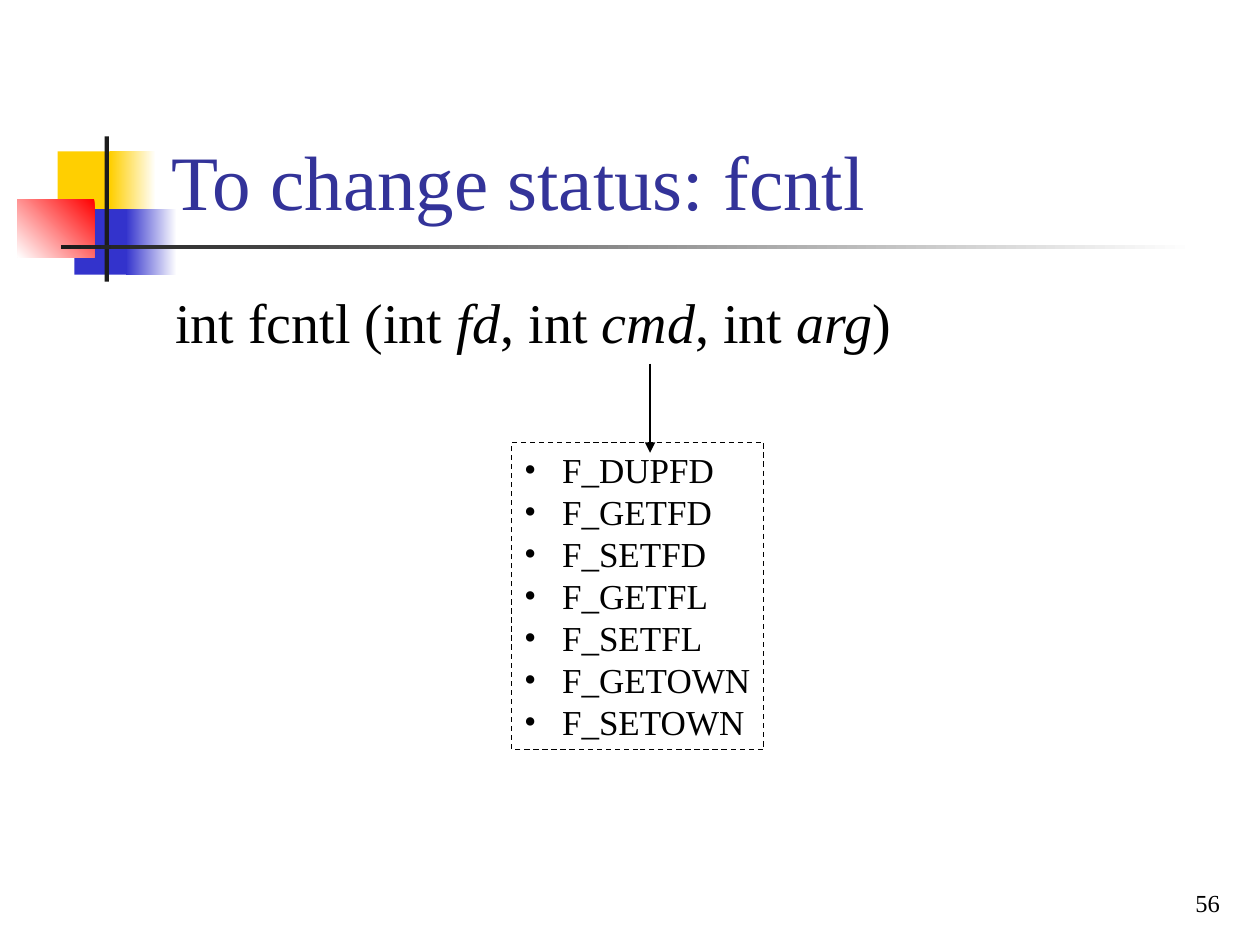
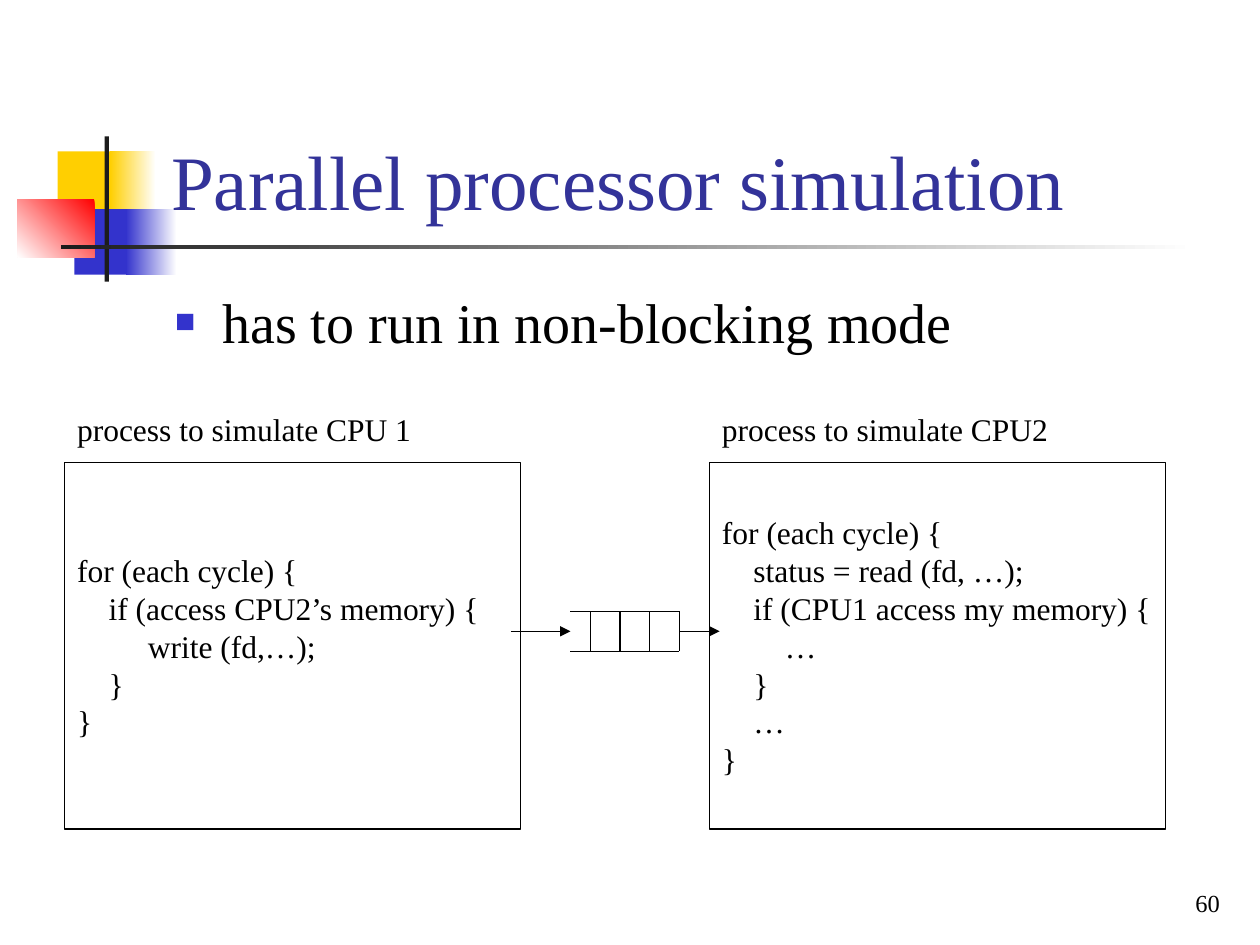
from pptx import Presentation
from pptx.dml.color import RGBColor
from pptx.enum.dml import MSO_LINE
from pptx.enum.shapes import MSO_CONNECTOR, MSO_SHAPE
from pptx.enum.text import MSO_ANCHOR, PP_ALIGN
from pptx.oxml.ns import qn
from pptx.util import Pt
from lxml.etree import SubElement

COLORS = {
    "title": "333399",
    "text": "000000",
    "yellow": "FFCF01",
    "blue": "3333CC",
    "red": "FF0000",
    "dark": "1C1C1C",
    "white": "FFFFFF",
}
FONT = "Times New Roman"
LINE_WIDTH = 0.75

# left, top, width, height in points
TITLE_BOX = (90.7, 17.5, 613.5, 115.2)
BODY_BOX = (93, 160.5, 612, 60)
PAGE_BOX = (554.4, 491.8, 149.8, 36)


def rgb(name):
    return RGBColor.from_string(COLORS[name])


def add_rect(slide, box):
    rect = slide.shapes.add_shape(MSO_SHAPE.RECTANGLE, *map(Pt, box))
    rect.shadow.inherit = False
    rect.fill.background()
    rect.line.fill.background()
    return rect


def outline(rect, dash=None):
    rect.line.color.rgb = rgb("text")
    rect.line.width = Pt(LINE_WIDTH)
    if dash:
        rect.line.dash_style = dash


def add_line(slide, start, end, arrow=False):
    line = slide.shapes.add_connector(
        MSO_CONNECTOR.STRAIGHT, *map(Pt, (*start, *end)))
    line.line.color.rgb = rgb("text")
    line.line.width = Pt(LINE_WIDTH)
    properties = line.line._get_or_add_ln()
    if arrow:
        SubElement(properties, qn("a:tailEnd"), type="triangle")
    SubElement(properties.getparent(), qn("a:effectLst"))


def add_bullet(paragraph, char, indent, color, percent=100):
    properties = paragraph._p.get_or_add_pPr()
    properties.set("marL", str(Pt(indent)))
    properties.set("indent", str(-Pt(indent)))
    bullet_color = SubElement(properties, qn("a:buClr"))
    SubElement(bullet_color, qn("a:srgbClr"), val=COLORS[color])
    SubElement(properties, qn("a:buSzPct"), val=str(percent * 1000))
    SubElement(properties, qn("a:buFont"), typeface=FONT)
    SubElement(properties, qn("a:buChar"), char=char)


def style_run(run, size, color="text", italic=False):
    run.font.name = FONT
    run.font.size = Pt(size)
    run.font.color.rgb = rgb(color)
    if italic:
        run.font.italic = True


def write_lines(shape, lines, size, color="text", anchor=MSO_ANCHOR.TOP,
                align=PP_ALIGN.LEFT, wrap=False, bullet=None):
    """Fill a shape with one paragraph per line; bullet holds add_bullet arguments."""
    frame = shape.text_frame
    frame.text = "\n".join(lines)
    frame.word_wrap = wrap
    frame.vertical_anchor = anchor
    for paragraph in frame.paragraphs:
        paragraph.alignment = align
        if bullet:
            add_bullet(paragraph, *bullet)
        for run in paragraph.runs:
            style_run(run, size, color)


def add_text(slide, box, lines, size, **style):
    write_lines(slide.shapes.add_textbox(*map(Pt, box)), lines, size, **style)


def add_ornament(slide, left, top):
    """Coloured squares with the vertical bar and the fading title rule."""
    # x, y, width, height, colours of the gradient, angle
    parts = [
        (23, 8.5, 34.5, 37.5, ["yellow"], None),
        (53, 8.5, 26, 37.5, ["white", "yellow"], 180),
        (32.5, 41.5, 33, 37.5, ["blue"], None),
        (62, 41.5, 29, 37.5, ["white", "blue"], 180),
        (0, 35.75, 44, 33.25, ["red", "white"], 225),
        (49.75, 0, 2.5, 83, ["dark"], None),
        (24.75, 62, 648, 2.5, ["white", "dark"], 180),
    ]
    for x, y, width, height, colors, angle in parts:
        fill = add_rect(slide, (left + x, top + y, width, height)).fill
        if angle is None:
            fill.solid()
            fill.fore_color.rgb = rgb(colors[0])
        else:
            fill.gradient()
            fill.gradient_angle = angle
            for stop, color in zip(fill.gradient_stops, colors):
                stop.color.rgb = rgb(color)


def add_base_slide(deck, title, page):
    slide = deck.slides.add_slide(deck.slide_layouts[6])
    add_ornament(slide, 10, 78)
    add_text(slide, TITLE_BOX, [title], 44, color="title",
             anchor=MSO_ANCHOR.BOTTOM, wrap=True)
    add_text(slide, PAGE_BOX, [str(page)], 14, anchor=MSO_ANCHOR.BOTTOM,
             align=PP_ALIGN.RIGHT, wrap=True)
    return slide


def add_signature(slide, box, pieces):
    """One line of text in which every second piece is an italic argument."""
    frame = slide.shapes.add_textbox(*map(Pt, box)).text_frame
    frame.word_wrap = True
    for index, piece in enumerate(pieces):
        run = frame.paragraphs[0].add_run()
        run.text = piece
        style_run(run, 32, italic=index % 2 == 1)


def add_command_list(slide, box, commands):
    left, top, _, _ = box
    command_list = add_rect(slide, box)
    outline(command_list, MSO_LINE.DASH)
    write_lines(command_list, commands, 20, bullet=("•", 21.6, "text"))
    add_line(slide, (left + 79, top - 45), (left + 79, top + 6), arrow=True)


def add_process(slide, box, label, code):
    left, top, width, _ = box
    process = add_rect(slide, box)
    outline(process)
    write_lines(process, code, 18, anchor=MSO_ANCHOR.MIDDLE)
    add_text(slide, (left, top - 33.75, width, 29), [label], 18, wrap=True)


def add_queue(slide, box, cell_width=17, cells=3):
    """Queue open on the left, with an arrow in and an arrow out."""
    left, top, width, height = box
    right, bottom, middle = left + width, top + height, top + height / 2
    for y in (top, bottom):
        add_line(slide, (left, y), (right, y))
    for index in range(cells + 1):
        x = right - index * cell_width
        add_line(slide, (x, top), (x, bottom))
    add_line(slide, (left - 34, middle), (left, middle), arrow=True)
    add_line(slide, (right, middle), (right + 23, middle), arrow=True)


def build_fcntl_slide(deck):
    slide = add_base_slide(deck, "To change status: fcntl", 56)
    add_signature(slide, BODY_BOX, [
        "int fcntl (int ", "fd", ", int ", "cmd", ", int ", "arg", ")"])
    add_command_list(slide, (292.5, 252.75, 144, 175.5), [
        "F_DUPFD", "F_GETFD", "F_SETFD", "F_GETFL", "F_SETFL",
        "F_GETOWN", "F_SETOWN"])


def build_simulation_slide(deck):
    slide = add_base_slide(deck, "Parallel processor simulation", 60)
    add_text(slide, BODY_BOX, ["has to run in non-blocking mode"], 32,
             wrap=True, bullet=("■", 27, "blue", 60))
    add_process(slide, (37, 264.25, 260.5, 209.5), "process to simulate CPU 1", [
        "for (each cycle) {",
        "    if (access CPU2’s memory) {",
        "         write (fd,…);",
        "    }",
        "}"])
    add_process(slide, (405.5, 264.25, 260.5, 209.5), "process to simulate CPU2", [
        "for (each cycle) {",
        "    status = read (fd, …);",
        "    if (CPU1 access my memory) {",
        "        …",
        "    }",
        "    …",
        "}"])
    add_queue(slide, (326, 349.25, 62.25, 23))


def main():
    deck = Presentation()
    deck.slide_width, deck.slide_height = Pt(720), Pt(540)
    build_fcntl_slide(deck)
    build_simulation_slide(deck)
    deck.save("out.pptx")


if __name__ == "__main__":
    main()
